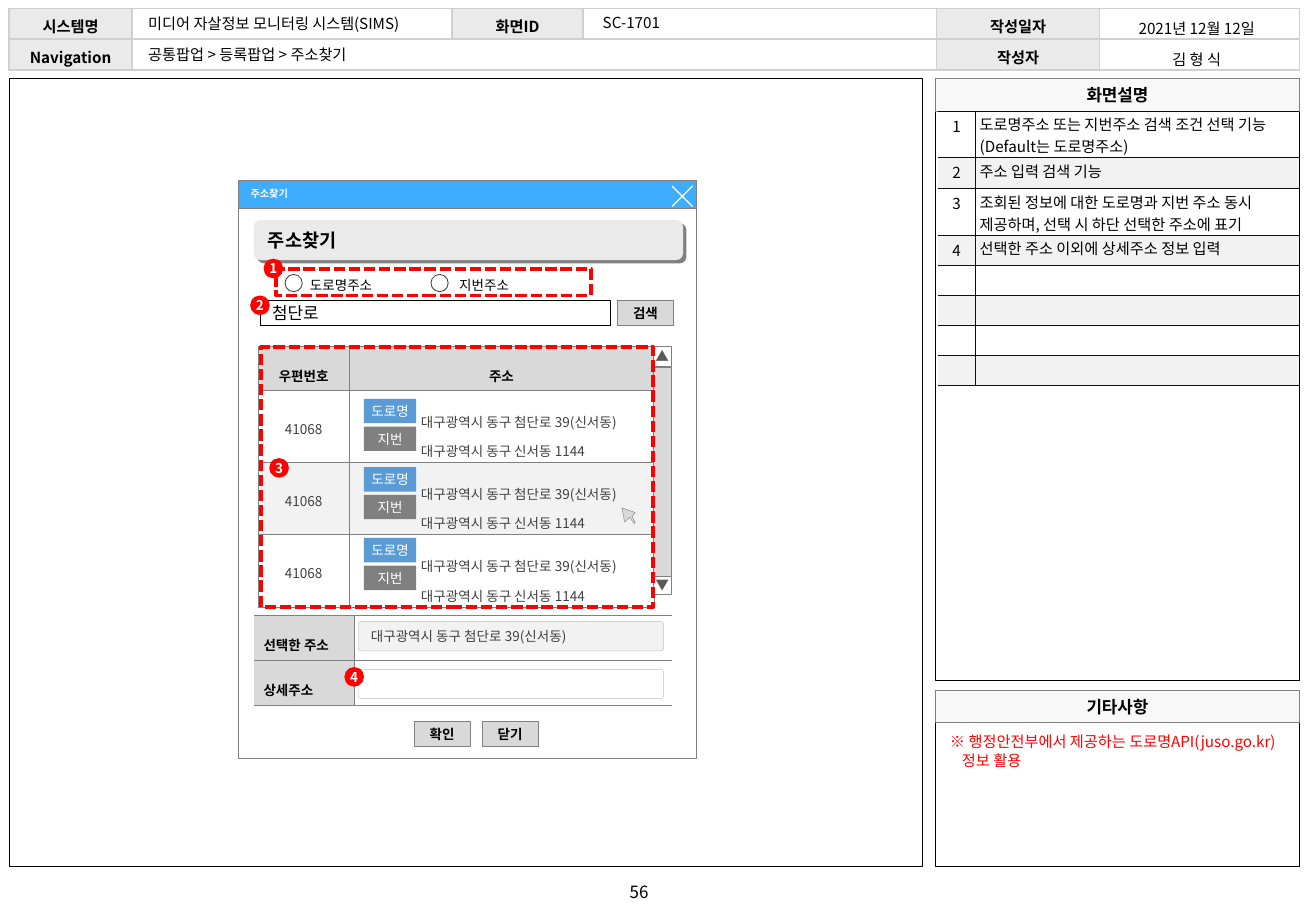
from dataclasses import dataclass
from typing import NamedTuple

from lxml import etree
from pptx import Presentation
from pptx.dml.color import RGBColor
from pptx.enum.dml import MSO_LINE
from pptx.enum.shapes import MSO_SHAPE
from pptx.enum.text import MSO_ANCHOR, PP_ALIGN
from pptx.oxml.ns import qn
from pptx.util import Cm, Pt

RECT, ROUND, OVAL = MSO_SHAPE.RECTANGLE, MSO_SHAPE.ROUNDED_RECTANGLE, MSO_SHAPE.OVAL
LEFT, CENTER = PP_ALIGN.LEFT, PP_ALIGN.CENTER
TOP, MIDDLE = MSO_ANCHOR.TOP, MSO_ANCHOR.MIDDLE
DASH = MSO_LINE.SQUARE_DOT
FONT, BADGE_FONT = "Noto Sans CJK KR", "Calibri"
COLORS = {
    "black": "000000", "white": "FFFFFF", "red": "FF0000", "sky": "3FADFF", "blue": "5B9BD5",
    "ink": "0D0D0D", "dark": "404040", "arrow": "595959", "gray": "808080", "silver": "BFBFBF",
    "grid": "D0D0D0", "button": "D9D9D9", "label": "EAEAEA", "stripe": "F2F2F2", "panel": "F8F8F8",
}
ROAD_ADDRESS = "대구광역시 동구 첨단로 39(신서동)"
LOT_ADDRESS = "대구광역시 동구 신서동 1144"


class Box(NamedTuple):
    left: float
    top: float
    width: float
    height: float


class Marker(NamedTuple):
    number: str
    left: float
    top: float


@dataclass
class Cell:
    text: str = ""
    fill: str | None = None
    align: PP_ALIGN = LEFT
    bold: bool = False
    color: str = "black"
    spacing: float = 1.0
    insets: tuple = (0.25, 0.08, 0.25, 0)
    anchor: MSO_ANCHOR = MIDDLE


def rgb(name: str) -> RGBColor:
    return RGBColor.from_string(COLORS[name])


def write_text(frame, text: str, *, size=9, color="black", bold=False, align=LEFT, font=FONT,
               spacing=1.0, hanging=0.0) -> None:
    for i, line in enumerate(text.split("\n")):
        paragraph = frame.paragraphs[0] if i == 0 else frame.add_paragraph()
        paragraph.alignment, paragraph.line_spacing = align, spacing
        if hanging:
            properties = paragraph._p.get_or_add_pPr()
            properties.set("marL", str(Cm(hanging)))
            properties.set("indent", str(-Cm(hanging)))
        if not line:
            paragraph._p.get_or_add_endParaRPr().set("sz", str(size * 100))
            continue
        run = paragraph.add_run()
        run.text = line
        run.font.size, run.font.bold, run.font.name = Pt(size), bold, font
        run.font.color.rgb = rgb(color)
        etree.SubElement(run._r.get_or_add_rPr(), qn("a:ea"), typeface=font)


def set_insets(target, insets: tuple) -> None:
    (target.margin_left, target.margin_top,
     target.margin_right, target.margin_bottom) = map(Cm, insets)


def paint(shape, fill: str | None, line: str | None, weight=0.5) -> None:
    shape.shadow.inherit = False
    if fill:
        shape.fill.solid()
        shape.fill.fore_color.rgb = rgb(fill)
    else:
        shape.fill.background()
    if line:
        shape.line.color.rgb, shape.line.width = rgb(line), Pt(weight)
    else:
        shape.line.fill.background()


def add_block(slide, box: Box, text="", *, kind=RECT, fill=None, line=None, weight=0.5,
              insets=(0.25, 0, 0.25, 0), wrap=True, **text_format):
    shape = slide.shapes.add_shape(kind, *map(Cm, box))
    paint(shape, fill, line, weight)
    frame = shape.text_frame
    frame.word_wrap, frame.vertical_anchor = wrap, MIDDLE
    set_insets(frame, insets)
    if text:
        write_text(frame, text, **text_format)
    return shape


def add_label(slide, box: Box, text: str, *, insets=(0.25, 0.13, 0.25, 0.13), wrap=False,
              anchor=TOP, **text_format) -> None:
    frame = slide.shapes.add_textbox(*map(Cm, box)).text_frame
    frame.word_wrap, frame.vertical_anchor = wrap, anchor
    set_insets(frame, insets)
    write_text(frame, text, **text_format)


def set_borders(cell, sides: str, color: str, weight: float) -> None:
    properties = cell._tc.get_or_add_tcPr()
    for side in "LRTB":
        line = etree.SubElement(properties, qn(f"a:ln{side}"), w=str(Pt(weight)))
        if side in sides:
            solid = etree.SubElement(line, qn("a:solidFill"))
            etree.SubElement(solid, qn("a:srgbClr"), val=COLORS[color])
        else:
            etree.SubElement(line, qn("a:noFill"))


def add_grid(slide, left: float, top: float, widths: list, heights: list, rows: list, *,
             size=8, border="gray", weight=0.25, outer="LRTB"):
    table = slide.shapes.add_table(len(heights), len(widths), Cm(left), Cm(top),
                                   Cm(sum(widths)), Cm(sum(heights))).table
    table.first_row = table.horz_banding = False
    for column, width in zip(table.columns, widths):
        column.width = Cm(width)
    for r, (row, height) in enumerate(zip(rows, heights)):
        table.rows[r].height = Cm(height)
        for c, spec in enumerate(row):
            cell = table.cell(r, c)
            sides = outer + "L" * (c > 0) + "R" * (c < len(widths) - 1)
            if c > 0 and "L" not in outer:
                sides = sides.replace("R", "") if c == len(widths) - 1 else sides
            set_borders(cell, sides, border, weight)
            if spec.fill:
                cell.fill.solid()
                cell.fill.fore_color.rgb = rgb(spec.fill)
            else:
                cell.fill.background()
            set_insets(cell, spec.insets)
            cell.vertical_anchor = spec.anchor
            write_text(cell.text_frame, spec.text, size=size, color=spec.color, bold=spec.bold,
                       align=spec.align, spacing=spec.spacing)
    return table


def add_outline(slide, strokes: list, *, fill=None, line="gray", weight=0.25, close=False) -> None:
    builder = slide.shapes.build_freeform(*map(Cm, strokes[0][0]), scale=1.0)
    for i, (start, *points) in enumerate(strokes):
        if i:
            builder.move_to(*map(Cm, start))
        builder.add_line_segments([tuple(map(Cm, p)) for p in points], close=close)
    paint(builder.convert_to_shape(), fill, line, weight)


def add_frame(slide) -> None:
    # Canvas, side panels and page number
    add_block(slide, Box(0.19, 1.64, 19.1, 16.48), line="black", weight=0.25)
    for title, top, height in (("화면설명", 1.64, 12.58), ("기타사항", 14.43, 3.69)):
        add_block(slide, Box(19.56, top + 0.67, 7.6, height - 0.67), line="black", weight=0.25)
        add_block(slide, Box(19.56, top, 7.6, 0.68), title, fill="panel", line="gray",
                  weight=0.25, size=10, bold=True, align=CENTER)
    add_label(slide, Box(12.46, 18.3, 1.8, 0.69), "56", size=10, align=CENTER, anchor=MIDDLE)

    # Document header
    captions = [["시스템명", "", "화면ID", "", "작성일자", ""], ["Navigation", "", "", "", "작성자", ""]]
    header = [[Cell(t, "label" if t else None, CENTER, True) for t in row] for row in captions]
    table = add_grid(slide, 0.19, 0.18, [2.57, 6.69, 2.74, 7.39, 3.4, 4.18], [0.64] * 2, header,
                     size=9, border="grid", weight=1)
    table.cell(1, 1).merge(table.cell(1, 3))
    add_label(slide, Box(2.85, 0.18, 6.25, 0.64), "미디어 자살정보 모니터링 시스템(SIMS)")
    add_label(slide, Box(2.85, 0.81, 5.26, 0.64), "공통팝업 > 등록팝업 > 주소찾기")
    add_label(slide, Box(12.35, 0.14, 1.73, 0.64), "SC-1701")
    add_grid(slide, 22.93, 0.23, [4.17], [0.64] * 2,
             [[Cell(t, align=CENTER)] for t in ("2021년 12월 12일", "김 형 식")], size=9, outer="")

    # Screen description and note
    notes = ["도로명주소 또는 지번주소 검색 조건 선택 기능(Default는 도로명주소)", "주소 입력 검색 기능",
             "조회된 정보에 대한 도로명과 지번 주소 동시 제공하며, 선택 시 하단 선택한 주소에 표기",
             "선택한 주소 이외에 상세주소 정보 입력", "", "", "", ""]
    rows = []
    for i, note in enumerate(notes):
        fill = "stripe" if i % 2 else None
        rows.append([Cell(str(i + 1) if note else "", fill, CENTER, insets=(0, 0.08, 0, 0), anchor=TOP),
                     Cell(note, fill, insets=(0.1, 0.05, 0.1, 0), anchor=TOP)])
    add_grid(slide, 19.61, 2.32, [0.77, 6.78], [0.97, 0.65, 0.97] + [0.63] * 5, rows,
             size=9, border="ink", outer="TB")
    add_label(slide, Box(19.61, 15.19, 7.49, 1.02), "※ 행정안전부에서 제공하는 도로명API(juso.go.kr) 정보 활용",
              wrap=True, color="red", hanging=0.25)


def add_dialog(slide) -> None:
    # Window, title bar and heading
    add_block(slide, Box(4.99, 3.78, 9.58, 12.09), fill="white", line="gray")
    add_block(slide, Box(4.99, 3.78, 9.58, 0.58), fill="sky", line="gray")
    add_outline(slide, [[(14.48, 3.89), (14.05, 4.32)], [(14.05, 3.89), (14.48, 4.32)]],
                line="white", weight=0.75)
    add_label(slide, Box(4.99, 3.8, 4.9, 0.51), "주소찾기", size=6, color="white", bold=True)
    heading = add_block(slide, Box(5.31, 4.6, 8.97, 0.84), "주소찾기", kind=ROUND, fill="label",
                        size=11, bold=True)
    effects = heading._element.spPr.find(qn("a:effectLst"))
    shadow = etree.SubElement(effects, qn("a:outerShdw"), dist=str(Pt(2.8)), dir="2700000",
                              algn="tl", rotWithShape="0")
    etree.SubElement(shadow, qn("a:srgbClr"), val=COLORS["gray"])

    # Search form and buttons
    add_block(slide, Box(5.44, 6.28, 7.32, 0.53), "첨단로", fill="white", line="black", size=10)
    for caption, left, top in (("확인", 8.66, 15.09), ("닫기", 10.08, 15.09), ("검색", 12.91, 6.28)):
        add_block(slide, Box(left, top, 1.17, 0.53), caption, fill="button", line="gray",
                  size=8, bold=True, align=CENTER, insets=(0, 0, 0, 0))
    for option, left, label_left, width in (("도로명주소", 5.96, 6.48, 1.42), ("지번주소", 9.01, 9.6, 1.14)):
        add_block(slide, Box(left, 5.74, 0.36, 0.36), kind=OVAL, fill="white", line="dark")
        add_label(slide, Box(label_left, 5.71, width, 0.43), option, size=8, spacing=1.25,
                  insets=(0, 0, 0, 0), anchor=MIDDLE)

    # Search results
    results = [[Cell(t, "button", CENTER, True, spacing=1.5, insets=(0.2, 0.1, 0.2, 0))
                for t in ("우편번호", "주소")]]
    for fill in (None, "stripe", None):
        results.append([
            Cell("41068", fill, CENTER, color="dark", spacing=1.2, insets=(0.25, 0, 0.25, 0)),
            Cell(f"{ROAD_ADDRESS}\n{LOT_ADDRESS}", fill, color="dark", spacing=1.5,
                 insets=(1.5, 0.2, 0.25, 0))])
    add_grid(slide, 5.4, 7.23, [1.9, 6.37], [0.93] + [1.51] * 3, results)
    for top in (8.34, 9.77, 11.25):
        for caption, fill, offset in (("도로명", "blue", 0), ("지번", "gray", 0.58)):
            add_block(slide, Box(7.61, top + offset, 1.09, 0.51), caption, fill=fill, size=8,
                      color="white", font=BADGE_FONT, align=CENTER, insets=(0.1, 0, 0.1, 0))

    # Selected address
    labels = [[Cell(t, "button", bold=True, spacing=1.5, insets=(0.2, 0.08, 0.2, 0)), Cell()]
              for t in ("선택한 주소", "상세주소")]
    add_grid(slide, 5.31, 12.87, [2.09, 6.65], [0.94] * 2, labels, weight=0.5, outer="TB")
    for text, top, fill in ((ROAD_ADDRESS, 13, "stripe"), ("", 14, None)):
        field = add_block(slide, Box(7.49, top, 6.38, 0.61), text, kind=ROUND, fill=fill,
                          line="silver", weight=0.25, size=8, color="dark")
        field.adjustments[0] = 0.08

    # Scroll bar
    for box, sign, fill in ((Box(11.66, 9.68, 4.39, 0.38), "", "button"),
                            (Box(13.64, 7.26, 0.43, 0.38), "◀", "white"),
                            (Box(13.66, 12.06, 0.38, 0.38), "▶", "white")):
        part = add_block(slide, box, sign, fill=fill, line="gray", insets=(0, 0, 0, 0), wrap=False,
                         size=8, color="arrow", bold=True, align=CENTER)
        part.rotation = 90

    # Mouse pointer
    add_outline(slide, [[(13, 10.62), (13.28, 10.72), (13.21, 10.8), (13.28, 10.92),
                         (13.26, 10.95), (13.16, 10.82), (13.06, 10.92)]],
                fill="button", close=True)

    # Highlighted areas and numbered markers
    for area in (Box(5.77, 5.62, 6.58, 0.56), Box(5.46, 7.26, 8.2, 5.44)):
        add_block(slide, area, line="red", weight=2.25).line.dash_style = DASH
    for marker in (Marker("1", 5.51, 5.41), Marker("2", 5.23, 6.18),
                   Marker("3", 5.63, 9.58), Marker("4", 7.2, 13.95)):
        add_block(slide, Box(marker.left, marker.top, 0.41, 0.41), marker.number, kind=OVAL,
                  fill="red", insets=(0, 0, 0, 0), wrap=False, size=8, color="white", bold=True,
                  align=CENTER)


def main() -> None:
    deck = Presentation()
    deck.slide_width, deck.slide_height = Cm(27.51), Cm(19.05)
    slide = deck.slides.add_slide(deck.slide_layouts[6])
    add_frame(slide)
    add_dialog(slide)
    deck.save("out.pptx")


if __name__ == "__main__":
    main()
